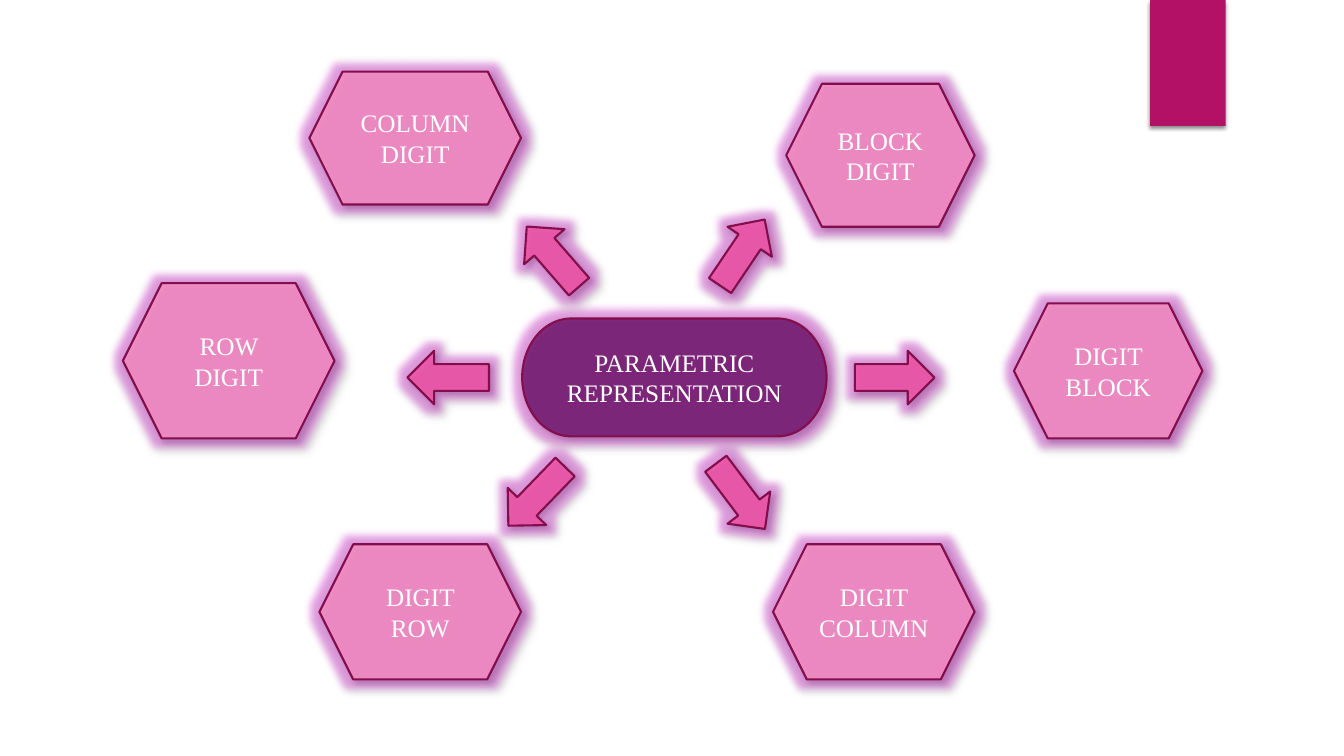
from dataclasses import dataclass
from typing import Optional

import pptx
import pptx.dml.color
import pptx.enum.shapes
import pptx.enum.text
import pptx.oxml.ns
import pptx.util
from lxml import etree

Kind = pptx.enum.shapes.MSO_SHAPE
Pt = pptx.util.Pt
qn = pptx.oxml.ns.qn


@dataclass(frozen=True)
class Theme:
    tab: str = "B31166"
    hub: str = "71186E"
    node: str = "F48CC3"
    arrow: str = "EF53A5"
    edge: str = "840D4B"
    glow: str = "DB37D6"
    shade: str = "000000"
    text: str = "FFFFFF"
    font: str = "Times New Roman"
    size: float = 18
    line: float = 1.5
    alpha: int = 85
    halo: float = 11


@dataclass(frozen=True)
class Shade:
    alpha: int
    blur: float
    dist: float
    angle: int


@dataclass(frozen=True)
class Part:
    kind: Kind
    left: float
    top: float
    width: float
    height: float
    fill: str
    text: str = ""
    turn: float = 0


THEME = Theme()
SOFT = Shade(40, 4, 3, 45)
DROP = Shade(45, 3, 2, 90)


def rgb(code: str) -> pptx.dml.color.RGBColor:
    return pptx.dml.color.RGBColor.from_string(code)


def add_alpha(color: etree._Element, share: int) -> None:
    etree.SubElement(color, qn("a:alpha"), val=str(share * 1000))


def add_tint(host: etree._Element, code: str, share: int) -> None:
    add_alpha(etree.SubElement(host, qn("a:srgbClr"), val=code), share)


def add_effects(shape, shade: Shade, halo: Optional[float] = None) -> None:
    shape.shadow.inherit = False
    group = shape._element.spPr.find(qn("a:effectLst"))
    if halo:
        glow = etree.SubElement(group, qn("a:glow"), rad=str(Pt(halo)))
        add_tint(glow, THEME.glow, 40)
    drop = etree.SubElement(
        group, qn("a:outerShdw"), blurRad=str(Pt(shade.blur)),
        dist=str(Pt(shade.dist)), dir=str(shade.angle * 60000), rotWithShape="0")
    add_tint(drop, THEME.shade, shade.alpha)


def add_shape(slide, part: Part):
    shape = slide.shapes.add_shape(
        part.kind, Pt(part.left), Pt(part.top), Pt(part.width), Pt(part.height))
    shape.rotation = part.turn
    shape.fill.solid()
    shape.fill.fore_color.rgb = rgb(part.fill)
    return shape


def add_part(slide, part: Part) -> None:
    shape = add_shape(slide, part)
    add_alpha(shape._element.spPr.find(qn("a:solidFill"))[0], THEME.alpha)
    shape.line.color.rgb = rgb(THEME.edge)
    shape.line.width = Pt(THEME.line)
    add_effects(shape, SOFT, THEME.halo)
    if part.text:
        frame = shape.text_frame
        frame.text = part.text
        frame.word_wrap = True
        frame.vertical_anchor = pptx.enum.text.MSO_ANCHOR.MIDDLE
        line = frame.paragraphs[0]
        line.alignment = pptx.enum.text.PP_ALIGN.CENTER
        font = line.runs[0].font
        font.name = THEME.font
        font.size = Pt(THEME.size)
        font.color.rgb = rgb(THEME.text)


def add_tab(slide) -> None:
    shape = add_shape(slide, Part(Kind.RECTANGLE, 821.5, 0, 54, 90, THEME.tab))
    shape.line.fill.background()
    add_effects(shape, DROP)


def node(text: str, left: float, top: float, width: float, height: float) -> Part:
    return Part(Kind.HEXAGON, left, top, width, height, THEME.node, text)


def down(left: float, top: float, turn: float) -> Part:
    return Part(Kind.DOWN_ARROW, left, top, 38.2, 58.3, THEME.arrow, turn=turn)


def back(left: float, top: float, turn: float) -> Part:
    return Part(Kind.LEFT_ARROW, left, top, 56.9, 38.2, THEME.arrow, turn=turn)


PARTS = [
    # Outer terms
    node("ROW DIGIT", 87.8, 202.3, 151.2, 110.9),
    node("DIGIT BLOCK", 724.3, 216.7, 134.6, 96.5),
    node("BLOCK DIGIT", 561.6, 59.8, 134.6, 102.2),
    node("DIGIT COLUMN", 552.2, 388.8, 144, 96.5),
    node("COLUMN DIGIT", 221, 51.1, 151.2, 95),
    node("DIGIT ROW", 228.2, 388.8, 144, 96.5),
    # Central topic
    Part(Kind.FLOWCHART_TERMINATOR, 373, 227.5, 217.4, 84.2, THEME.hub,
         "PARAMETRIC REPRESENTATION"),
    # Arrows from the centre outwards
    down(301, 240.5, 90),
    back(366.5, 164.2, 49),
    back(501.8, 161.3, 124),
    back(610.6, 250.6, 180),
    down(364.3, 325.4, 44),
    down(509.8, 325.4, 323),
]


def main() -> None:
    deck = pptx.Presentation()
    deck.slide_width, deck.slide_height = Pt(960), Pt(540)
    slide = deck.slides.add_slide(deck.slide_layouts[6])
    add_tab(slide)
    for part in PARTS:
        add_part(slide, part)
    deck.save("out.pptx")


if __name__ == "__main__":
    main()
